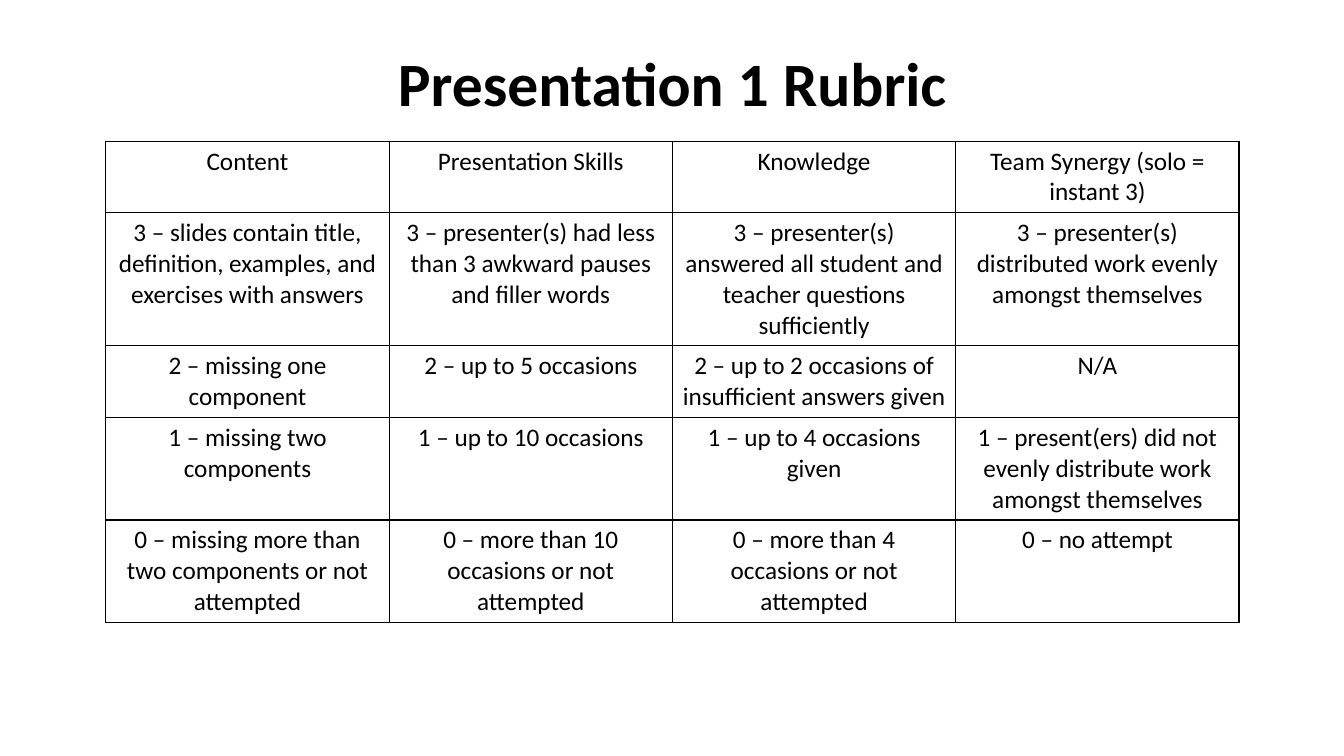
"""Build a one-slide presentation rubric with a title and a scoring table."""
from lxml import etree
from pptx import Presentation
from pptx.dml.color import RGBColor
from pptx.enum.text import PP_ALIGN
from pptx.oxml.ns import qn
from pptx.util import Inches, Pt

CENTER = PP_ALIGN.CENTER
THEME = {"font": "Calibri", "ink": "000000", "title": 44, "body": 18, "border": 1}
SLIDE_WIDTH, SLIDE_HEIGHT = 13.33, 7.5

TITLE = "Presentation 1 Rubric"
RUBRIC = [
    ("Content", "Presentation Skills", "Knowledge", "Team Synergy (solo = instant 3)"),
    ("3 – slides contain title, definition, examples, and exercises with answers",
     "3 – presenter(s) had less than 3 awkward pauses and filler words",
     "3 – presenter(s) answered all student and teacher questions sufficiently",
     "3 – presenter(s) distributed work evenly amongst themselves"),
    ("2 – missing one component",
     "2 – up to 5 occasions",
     "2 – up to 2 occasions of insufficient answers given",
     "N/A"),
    ("1 – missing two components",
     "1 – up to 10 occasions",
     "1 – up to 4 occasions given",
     "1 – present(ers) did not evenly distribute work amongst themselves"),
    ("0 – missing more than two components or not attempted",
     "0 – more than 10 occasions or not attempted",
     "0 – more than 4 occasions or not attempted",
     "0 – no attempt"),
]

TITLE_BOX = (3.82, 0.4, 5.7, 0.84)
TABLE_LEFT, TABLE_TOP = 1.05, 1.4
COLUMN_WIDTH, ROW_HEIGHT = 2.81, 0.41


def write(frame, text, size, bold=False):
    """Write one centred paragraph into a text frame."""
    para = frame.paragraphs[0]
    para.alignment = CENTER
    span = para.add_run()
    span.text = text
    span.font.name = THEME["font"]
    span.font.size = Pt(size)
    span.font.bold = bold
    span.font.color.rgb = RGBColor.from_string(THEME["ink"])


def outline(cell):
    """Draw a solid border on all four sides of a cell."""
    properties = cell._tc.get_or_add_tcPr()
    for side in ("a:lnL", "a:lnR", "a:lnT", "a:lnB"):
        line = etree.SubElement(properties, qn(side), w=str(Pt(THEME["border"])))
        fill = etree.SubElement(line, qn("a:solidFill"))
        etree.SubElement(fill, qn("a:srgbClr"), val=THEME["ink"])


def add_title(page):
    """Place the title above the table."""
    box = page.shapes.add_textbox(*map(Inches, TITLE_BOX))
    box.text_frame.word_wrap = False
    write(box.text_frame, TITLE, THEME["title"], bold=True)


def add_rubric(page):
    """Place the rubric, whose rows grow with their text."""
    rows, columns = len(RUBRIC), len(RUBRIC[0])
    table = page.shapes.add_table(
        rows, columns, Inches(TABLE_LEFT), Inches(TABLE_TOP),
        Inches(columns * COLUMN_WIDTH), Inches(rows * ROW_HEIGHT)).table
    table.first_row = table.horz_banding = False
    for row, texts in enumerate(RUBRIC):
        for column, text in enumerate(texts):
            cell = table.cell(row, column)
            outline(cell)
            cell.fill.background()
            write(cell.text_frame, text, THEME["body"])


deck = Presentation()
deck.slide_width, deck.slide_height = Inches(SLIDE_WIDTH), Inches(SLIDE_HEIGHT)
slide = deck.slides.add_slide(deck.slide_layouts[6])
add_rubric(slide)
add_title(slide)
deck.save("out.pptx")
